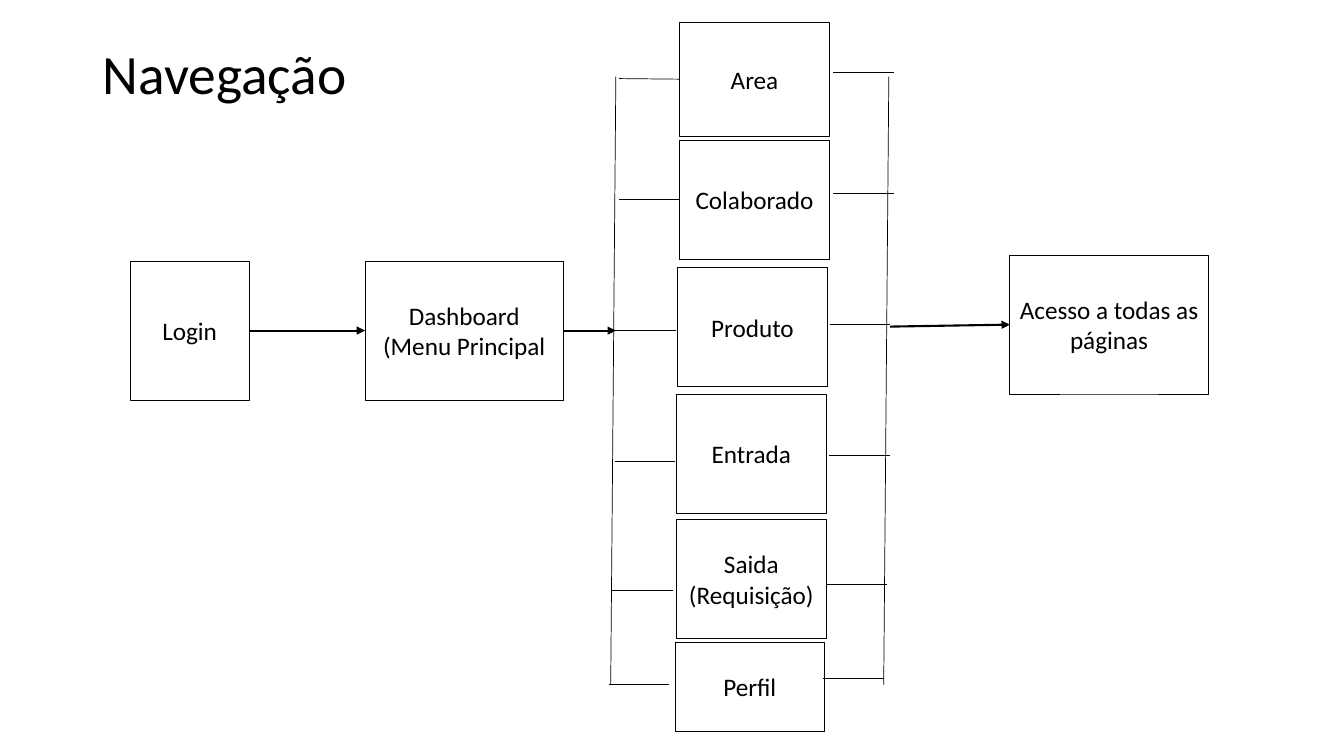
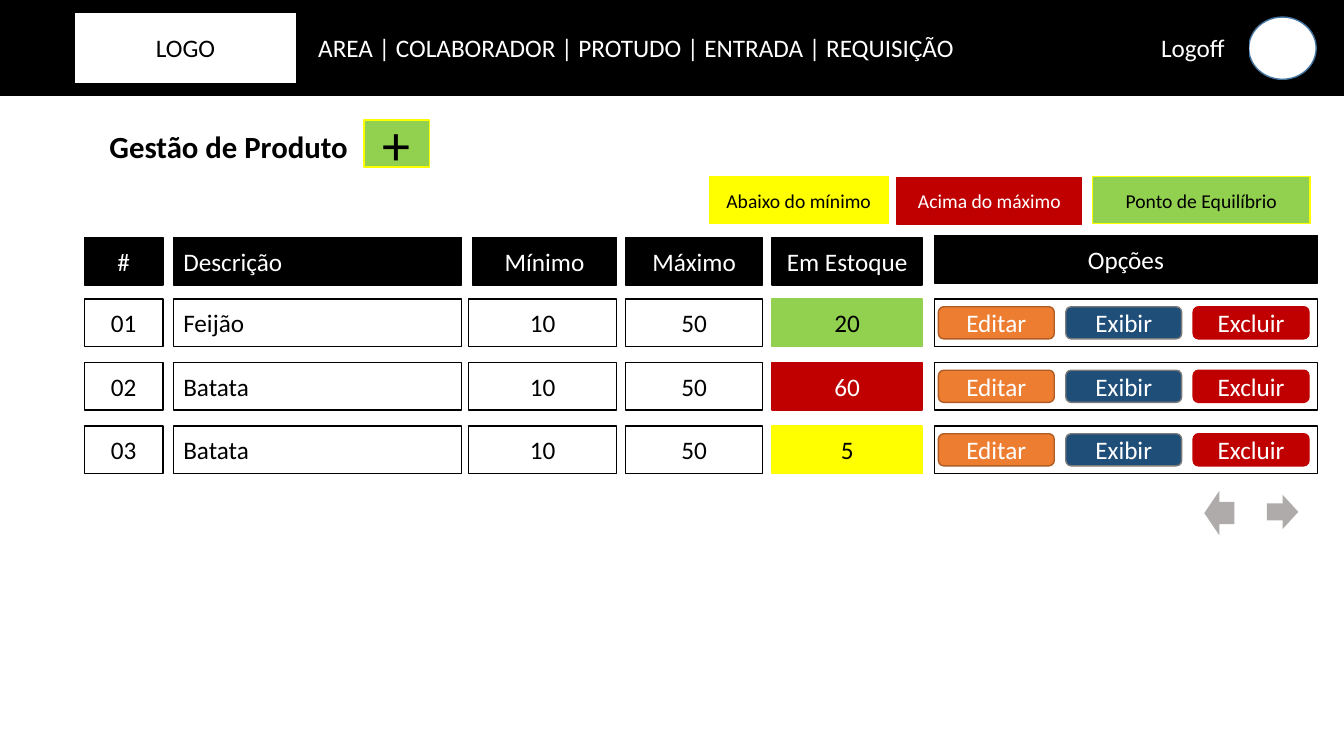
from lxml import etree
from pptx import Presentation
from pptx.dml.color import RGBColor
from pptx.enum.shapes import MSO_CONNECTOR, MSO_SHAPE
from pptx.enum.text import MSO_ANCHOR, PP_ALIGN
from pptx.oxml.ns import qn
from pptx.util import Cm, Pt

RECT, ROUND, OVAL = MSO_SHAPE.RECTANGLE, MSO_SHAPE.ROUNDED_RECTANGLE, MSO_SHAPE.OVAL
ARROW_LEFT, ARROW_RIGHT = MSO_SHAPE.LEFT_ARROW, MSO_SHAPE.RIGHT_ARROW
STRAIGHT = MSO_CONNECTOR.STRAIGHT
LEFT, CENTER, MIDDLE = PP_ALIGN.LEFT, PP_ALIGN.CENTER, MSO_ANCHOR.MIDDLE
FONT = "Calibri"
COLORS = {
    "black": "000000",
    "white": "FFFFFF",
    "green": "92D050",
    "red": "C00000",
    "yellow": "FFFF00",
    "orange": "ED7D31",
    "brown": "AF5C24",
    "navy": "1F4E79",
    "gray": "7A7A7A",
    "silver": "AFABAB",
    "blue": "43739E",
}
RGB = {name: RGBColor.from_string(value) for name, value in COLORS.items()}


def add_box(s, x, y, w, h, text="", kind=RECT, fill=None, line="black",
            width=1, color="black", size=18, bold=False, align=CENTER, spacing=1.0):
    area = Cm(x), Cm(y), Cm(w), Cm(h)
    if kind is None:
        sp = s.shapes.add_textbox(*area)
    else:
        sp = s.shapes.add_shape(kind, *area)
        sp.shadow.inherit = False
        if fill:
            sp.fill.solid()
            sp.fill.fore_color.rgb = RGB[fill]
        else:
            sp.fill.background()
        if line:
            sp.line.color.rgb = RGB[line]
            sp.line.width = Pt(width)
        else:
            sp.line.fill.background()
    if text:
        tf = sp.text_frame
        tf.word_wrap = True
        tf.vertical_anchor = MIDDLE
        p = tf.paragraphs[0]
        p.alignment = align
        p.line_spacing = spacing
        r = p.add_run()
        r.text = text
        for key, value in {"name": FONT, "size": Pt(size), "bold": bold}.items():
            setattr(r.font, key, value)
        r.font.color.rgb = RGB[color]
    return sp


def add_line(s, x1, y1, x2, y2, arrow=False, begin=None, end=None):
    ln = s.shapes.add_connector(STRAIGHT, Cm(x1), Cm(y1), Cm(x2), Cm(y2))
    if begin:
        ln.begin_connect(begin, 3)
    if end:
        ln.end_connect(end, 1)
    ln.line.color.rgb = RGB["black"]
    ln.line.width = Pt(1.5 if arrow else 0.5)
    if arrow:
        etree.SubElement(ln.line._get_or_add_ln(), qn("a:tailEnd"), type="triangle")
    etree.SubElement(ln._element.spPr, qn("a:effectLst"))


prs = Presentation()
prs.slide_width, prs.slide_height = Cm(33.87), Cm(19.05)
blank = prs.slide_layouts[6]

s = prs.slides.add_slide(blank)
add_box(s, 2.34, 1.02, 29.21, 1.83, "Navegação", kind=None, size=39.6, align=LEFT, spacing=0.9)

login = add_box(s, 3.28, 6.58, 3, 3.5, "Login", width=0.5)
dashboard = add_box(s, 9.2, 6.58, 5, 3.5, "Dashboard (Menu Principal", width=0.5)
access = add_box(s, 25.45, 6.43, 5, 3.5, "Acesso a todas as páginas", width=0.5)
add_line(s, 6.28, 8.33, 9.2, 8.33, arrow=True, begin=login, end=dashboard)
add_line(s, 14.2, 8.33, 15.52, 8.33, arrow=True, begin=dashboard)
add_line(s, 22.43, 8.23, 25.45, 8.18, arrow=True, end=access)

pages = [
    ("Area", 17.13, 0.56, 2.87, 15.6, 1.98, True),
    ("Colaborado", 17.13, 3.53, 3, 15.6, 5.03, True),
    ("Produto", 17.08, 6.75, 3, 15.51, 8.33, False),
    ("Entrada", 17.05, 9.93, 3, 15.5, 11.63, False),
    ("Saida (Requisição)", 17.05, 13.09, 3, 15.43, 14.88, False),
    ("Perfil", 17.01, 16.18, 2.24, 15.35, 17.25, False),
]
branch_w, branch_dx, branch_dy = 1.52, 5.4, -0.16
for name, x, y, h, bx, by, joined in pages:
    page = add_box(s, x, y, 3.77, h, name, width=0.5)
    add_line(s, bx, by, bx + branch_w, by, end=page if joined else None)
    add_line(s, bx + branch_dx, by + branch_dy, bx + branch_dx + branch_w, by + branch_dy)
for rail_x in (15.52, 22.4):
    add_line(s, rail_x, 1.93, rail_x - 0.13, 17.25)

s = prs.slides.add_slide(blank)
add_box(s, 0, 0, 33.87, 2.41, fill="black")
add_box(s, 1.88, 0.3, 5.59, 1.8, "LOGO", fill="white")
add_box(s, 7.77, 0.3, 17.17, 1.8, "AREA | COLABORADOR | PROTUDO | ENTRADA | REQUISIÇÃO",
        color="white", align=LEFT)
add_box(s, 31.47, 0.43, 1.7, 1.57, kind=OVAL, fill="white", line="blue")
add_box(s, 29.01, 0.3, 2.46, 1.8, "Logoff", color="white", align=LEFT)

add_box(s, 2.51, 2.79, 10.97, 1.8, "Gestão de Produto", kind=None, size=22, bold=True, align=LEFT)
cell_h = 1.19
add_box(s, 9.17, 3.02, 1.65, cell_h, "+", fill="green", line="yellow", size=40)

legend = [
    ("Abaixo do mínimo", 17.88, 4.45, 4.5, "yellow", "yellow", "black"),
    ("Acima do máximo", 22.61, 4.47, 4.65, "red", "red", "white"),
    ("Ponto de Equilíbrio", 27.53, 4.45, 5.49, "green", "yellow", "black"),
]
for text, x, y, w, fill, line, color in legend:
    add_box(s, x, y, w, cell_h, text, fill=fill, line=line, color=color, size=14)

headers = [
    ("#", 2.13, 5.99, 1.98, CENTER),
    ("Descrição", 4.37, 5.99, 7.26, LEFT),
    ("Mínimo", 11.91, 5.99, 3.63, CENTER),
    ("Máximo", 15.77, 5.99, 3.45, CENTER),
    ("Em Estoque", 19.46, 5.99, 3.78, CENTER),
    ("Opções", 23.55, 5.94, 9.65, CENTER),
]
for text, x, y, w, align in headers:
    add_box(s, x, y, w, cell_h, text, fill="black", color="white", align=align)

columns = [(2.13, 1.98, CENTER), (4.37, 7.26, LEFT), (11.81, 3.73, CENTER), (15.77, 3.45, CENTER)]
products = [
    (("01", "Feijão", "10", "50"), "20", "green", "black"),
    (("02", "Batata", "10", "50"), "60", "red", "white"),
    (("03", "Batata", "10", "50"), "5", "yellow", "black"),
]
buttons = [("Editar", "orange", "brown"), ("Exibir", "navy", "gray"), ("Excluir", "red", "red")]
for i, (values, stock, status, color) in enumerate(products):
    y = 7.54 + i * 1.6
    for text, (x, w, align) in zip(values, columns):
        add_box(s, x, y, w, cell_h, text, fill="white", align=align)
    add_box(s, 19.46, y, 3.78, cell_h, stock, fill=status, line=status, color=color)
    add_box(s, 23.55, y, 9.65, cell_h, fill="white")
    for j, (text, fill, line) in enumerate(buttons):
        add_box(s, 23.65 + j * 3.21, y + 0.19, 2.92, 0.81, text, kind=ROUND,
                fill=fill, line=line, color="white")

add_box(s, 30.35, 12.37, 0.76, 1.12, kind=ARROW_LEFT, fill="silver", line=None)
add_box(s, 31.93, 12.47, 0.79, 0.86, kind=ARROW_RIGHT, fill="silver", line=None)

prs.save("out.pptx")
